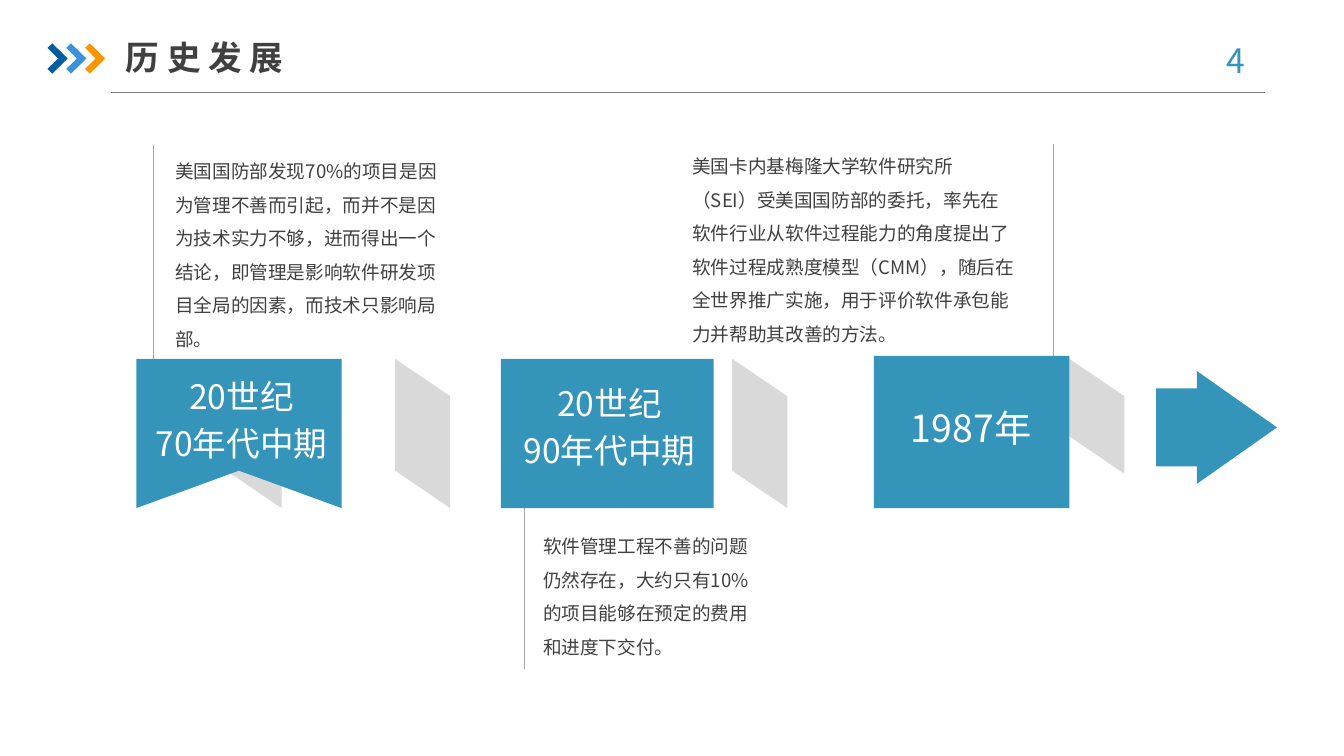
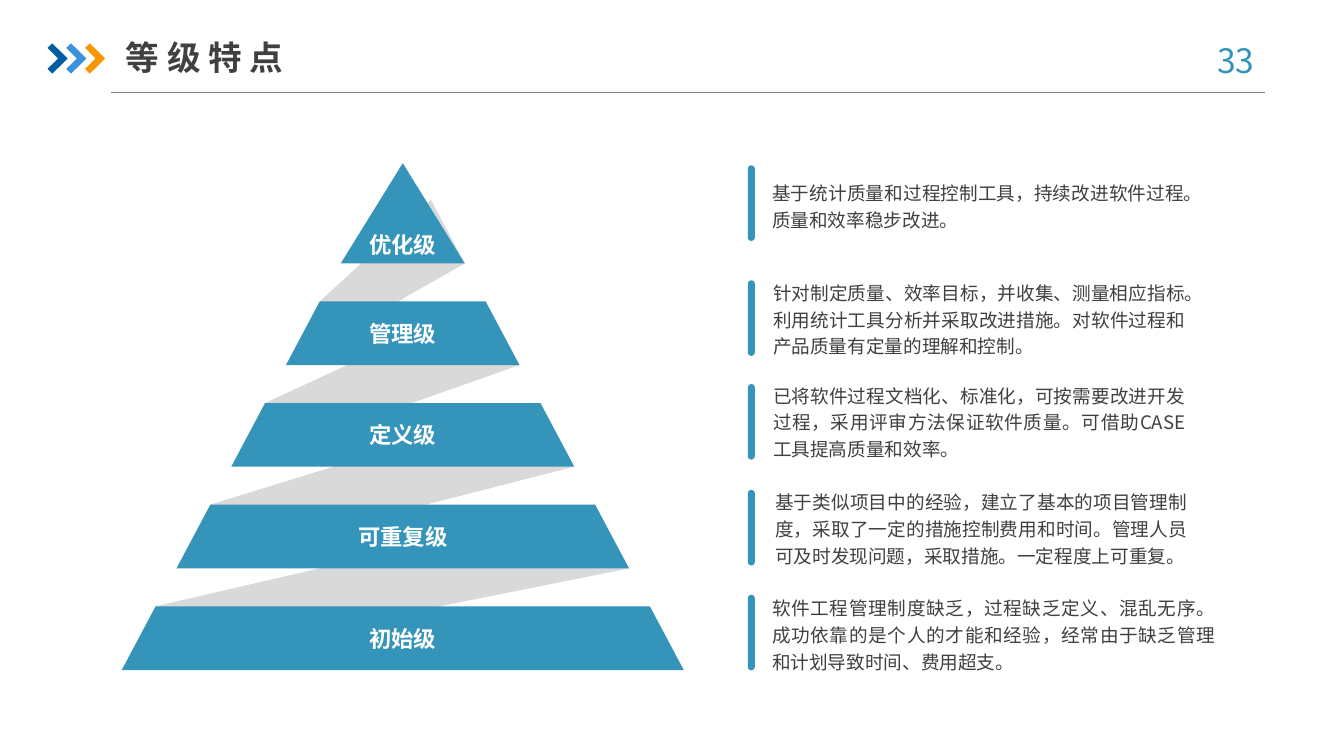
"""Build two slides on software process maturity: a timeline and a pyramid of levels."""
from pptx import Presentation
from pptx.dml.color import RGBColor
from pptx.enum.shapes import MSO_CONNECTOR, MSO_SHAPE
from pptx.enum.text import MSO_ANCHOR, PP_ALIGN
from pptx.oxml.ns import qn
from pptx.util import Pt
from lxml.etree import SubElement

FONT = "Noto Sans CJK SC"
TEAL = RGBColor(0x34, 0x94, 0xBA)
NAVY = RGBColor(0x00, 0x5D, 0xA2)
BLUE = RGBColor(0x39, 0x92, 0xDB)
ORANGE = RGBColor(0xF7, 0x96, 0x00)
INK = RGBColor(0x40, 0x40, 0x40)
WHITE = RGBColor(0xFF, 0xFF, 0xFF)
PALE = RGBColor(0xD9, 0xD9, 0xD9)
RULE = RGBColor(0x80, 0x80, 0x80)
LEADER = RGBColor(0xA6, 0xA6, 0xA6)


def write(sp, text, size, color, bold=False, align=PP_ALIGN.LEFT,
          anchor=MSO_ANCHOR.TOP, inset=(7.2, 3.6), spacing=None, before=0):
    """Fill a shape with text and format every paragraph."""
    tf = sp.text_frame
    tf.text = text
    tf.word_wrap = True
    tf.vertical_anchor = anchor
    tf.margin_left = tf.margin_right = Pt(inset[0])
    tf.margin_top = tf.margin_bottom = Pt(inset[1])
    for i, p in enumerate(tf.paragraphs):
        p.alignment = align
        if spacing:
            p.line_spacing = spacing
        if i and before:
            p.space_before = Pt(before)
        for r in p.runs:
            r.font.size = Pt(size)
            r.font.bold = bold
            r.font.name = FONT
            r.font.color.rgb = color
            SubElement(r.font._element, qn("a:ea"), typeface=FONT)


def paint(sp, color):
    """Give a shape a flat fill, or a connector a thin line."""
    if hasattr(sp, "begin_x"):
        sp.line.color.rgb = color
        sp.line.width = Pt(0.5)
        SubElement(sp._element.spPr, qn("a:effectLst"))
    else:
        sp.shadow.inherit = False
        sp.fill.solid()
        sp.fill.fore_color.rgb = color
        sp.line.fill.background()
    return sp


prs = Presentation()
prs.slide_width, prs.slide_height = Pt(960), Pt(540)

CHEVRON = [(0, 3.2), (3.4, 0), (14.4, 10.8), (3.4, 21.6), (0, 18.2), (7.6, 10.8)]
polygons = {0: [], 1: []}
for shapes in polygons.values():
    for i, color in enumerate((NAVY, BLUE, ORANGE)):
        shapes.append(([(34 + 13.4 * i + x, 31 + y) for x, y in CHEVRON], color, ""))

TOP, BOTTOM = 256.3, 362.9
for i in range(6):
    x = 161.8 + 120.4 * i
    side = 55.4 if i == 5 else 79.9
    polygons[0].append(([(x, TOP), (x + 39.4, TOP + 26.7), (x + 39.4, TOP + 26.7 + side),
                         (x, TOP + side)], PALE, ""))
polygons[0].append(([(97.4, TOP), (244, TOP), (244, BOTTOM), (170.7, 336.2),
                     (97.4, BOTTOM)], TEAL, ""))

CENTER, BAND = 287.7, 45.5
LEVELS = ["优化级", "管理级", "定义级", "可重复级", "初始级"]
bands = []
for i in range(5):
    y, half = 142.7 + 72.6 * i, 44.3 + 39.1 * i
    bands.append((y, half - 24.2, y + BAND, half))
for (y1, a1, y2, a2), (y3, b1, y4, b2) in zip(bands, bands[1:]):
    polygons[1].append(([(CENTER + a1, y1), (CENTER - b1, y3), (CENTER - b2, y4),
                         (CENTER + a2, y2)], PALE, ""))
for level, (y1, a, y2, b) in zip(LEVELS, bands):
    top = [(CENTER - a, y1), (CENTER + a, y1)] if level != LEVELS[0] else [(CENTER, 116.6)]
    polygons[1].append((top + [(CENTER + b, y2), (CENTER - b, y2)], TEAL, level))

leaders = {0: [(109.4, 103.7, 256.3), (374.4, 362.2, 478.1), (752.4, 103, 254.2)], 1: []}

for n, (title, page) in enumerate([("历 史 发 展", "4"), ("等 级 特 点", "33")]):
    s = prs.slides.add_slide(prs.slide_layouts[6])
    lines = [(79.2, 65.8, 903.6, 65.8, RULE)]
    lines += [(x, y1, x, y2, LEADER) for x, y1, y2 in leaders[n]]
    for x1, y1, x2, y2, color in lines:
        paint(s.shapes.add_connector(MSO_CONNECTOR.STRAIGHT, Pt(x1), Pt(y1), Pt(x2), Pt(y2)), color)
    for points, color, label in polygons[n]:
        (x, y), *rest = [(Pt(px), Pt(py)) for px, py in points]
        builder = s.shapes.build_freeform(x, y)
        builder.add_line_segments(rest, close=True)
        sp = paint(builder.convert_to_shape(), color)
        if label:
            peak = label == LEVELS[0]
            write(sp, label, 16, WHITE, True, PP_ALIGN.CENTER,
                  MSO_ANCHOR.BOTTOM if peak else MSO_ANCHOR.MIDDLE, (0, 3.7 if peak else 0))
    sp = s.shapes.add_textbox(Pt(90), Pt(20.9), Pt(224), Pt(39.6))
    write(sp, title, 24, INK, True, anchor=MSO_ANCHOR.MIDDLE, inset=(0, 3.6))
    sp = s.shapes.add_textbox(Pt(847.4), Pt(25.2), Pt(70.6), Pt(36))
    write(sp, page, 24, TEAL, align=PP_ALIGN.CENTER)

timeline, pyramid = prs.slides

for x, y, w, h in [(357.8, TOP, 152, 106.6), (624.2, 254.2, 139.7, 108.7)]:
    paint(timeline.shapes.add_shape(MSO_SHAPE.RECTANGLE, Pt(x), Pt(y), Pt(w), Pt(h)), TEAL)
arrow = paint(timeline.shapes.add_shape(MSO_SHAPE.RIGHT_ARROW, Pt(825.8), Pt(265), Pt(86.4), Pt(80.6)), TEAL)
arrow.adjustments[0], arrow.adjustments[1] = 0.69, 0.71

periods = [
    (81.4, 182.2, 61.2, "20世纪\n70年代中期", 24),
    (340.6, 189.4, 71.3, "20世纪\n90年代中期", 24),
    (607, 173.5, 72, "1987年", 26.7),
]
for x, w, h, text, size in periods:
    sp = timeline.shapes.add_textbox(Pt(x), Pt(269.3), Pt(w), Pt(h))
    write(sp, text, size, WHITE, align=PP_ALIGN.CENTER, anchor=MSO_ANCHOR.MIDDLE, before=4.8)

events = [
    (118.1, 103, 201.6, 151.2,
     "美国国防部发现70%的项目是因为管理不善而引起，而并不是因为技术实力不够，进而得出一个结论，即管理是影响软件研发项目全局的因素，而技术只影响局部。"),
    (380.9, 370.8, 167.8, 97.9,
     "软件管理工程不善的问题仍然存在，大约只有10%的项目能够在预定的费用和进度下交付。"),
    (487.4, 99.4, 244.1, 146.9,
     "美国卡内基梅隆大学软件研究所（SEI）受美国国防部的委托，率先在软件行业从软件过程能力的角度提出了软件过程成熟度模型（CMM），随后在全世界推广实施，用于评价软件承包能力并帮助其改善的方法。"),
]
for x, y, w, h, text in events:
    sp = timeline.shapes.add_textbox(Pt(x), Pt(y), Pt(w), Pt(h))
    write(sp, text, 13.3, INK, spacing=1.5)

features = [
    (118.1, 547.9, 124.6, 301.7, 42.5, "基于统计质量和过程控制工具，持续改进软件过程。质量和效率稳步改进。"),
    (200.2, 548.6, 195.8, 301.7, 61.9,
     "针对制定质量、效率目标，并收集、测量相应指标。利用统计工具分析并采取改进措施。对软件过程和产品质量有定量的理解和控制。"),
    (274.3, 548.6, 269.3, 301.7, 61.9,
     "已将软件过程文档化、标准化，可按需要改进开发过程，采用评审方法保证软件质量。可借助CASE工具提高质量和效率。"),
    (349.9, 550.1, 345.6, 301.7, 61.9,
     "基于类似项目中的经验，建立了基本的项目管理制度，采取了一定的措施控制费用和时间。管理人员可及时发现问题，采取措施。一定程度上可重复。"),
    (424.8, 547.9, 421.2, 324, 61.9,
     "软件工程管理制度缺乏，过程缺乏定义、混乱无序。成功依靠的是个人的才能和经验，经常由于缺乏管理和计划导致时间、费用超支。"),
]
for bar_top, x, y, w, h, text in features:
    bar = paint(pyramid.shapes.add_shape(MSO_SHAPE.ROUNDED_RECTANGLE, Pt(534.2), Pt(bar_top), Pt(5), Pt(54)), TEAL)
    bar.adjustments[0] = 0.5
    sp = pyramid.shapes.add_textbox(Pt(x), Pt(y), Pt(w), Pt(h))
    write(sp, text, 13.3, INK, align=PP_ALIGN.JUSTIFY, inset=(3.6, 2.2), spacing=1.2)

prs.save("out.pptx")
